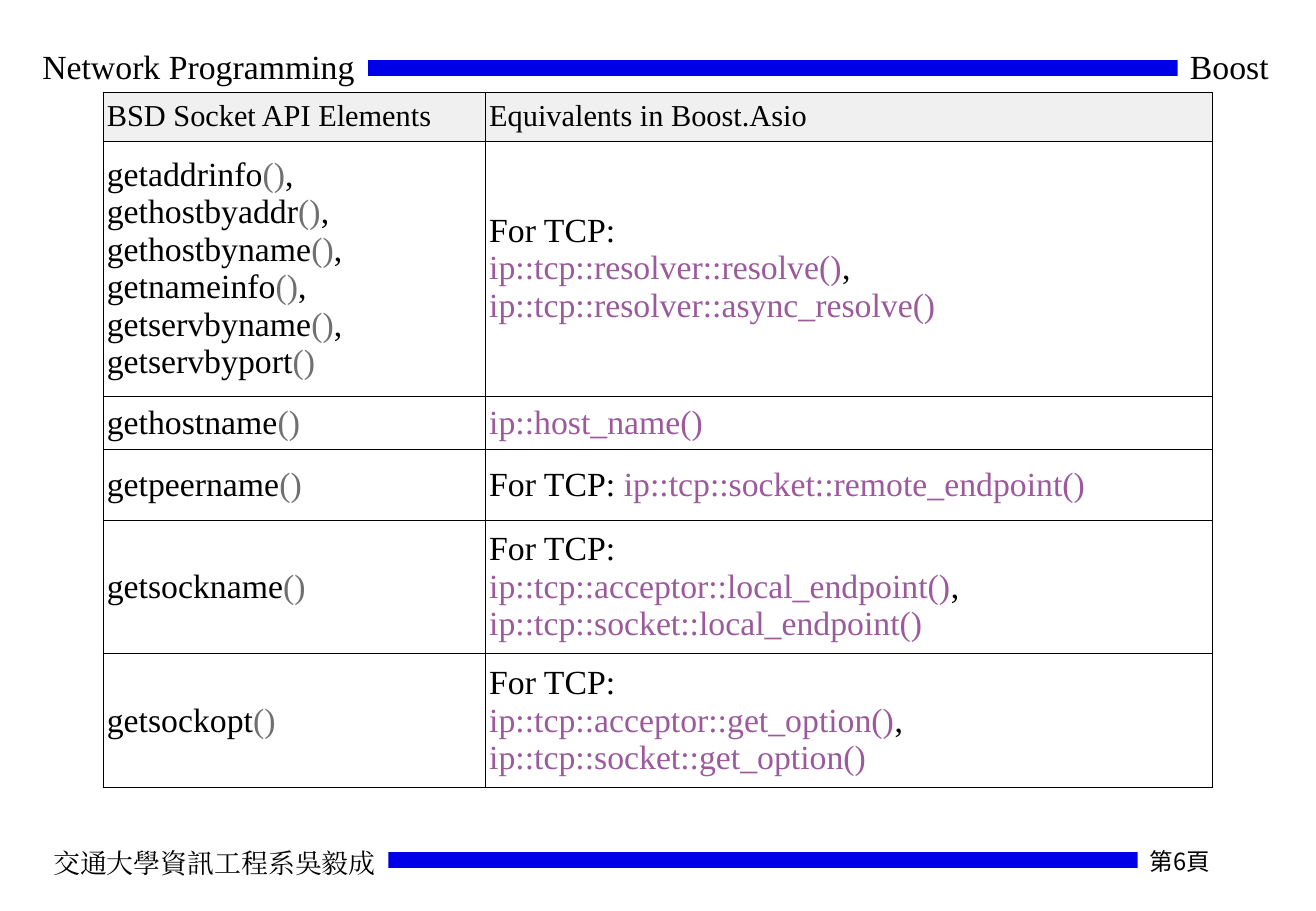
from lxml.etree import SubElement
from pptx import Presentation
from pptx.dml.color import RGBColor
from pptx.enum.shapes import MSO_CONNECTOR
from pptx.enum.text import MSO_ANCHOR, MSO_AUTO_SIZE, PP_ALIGN
from pptx.oxml import parse_xml
from pptx.oxml.ns import nsdecls, qn
from pptx.util import Inches, Pt

BLACK = RGBColor(0x00, 0x00, 0x00)
WHITE = RGBColor(0xFF, 0xFF, 0xFF)
BLUE = RGBColor(0x00, 0x00, 0xE8)
PALE = RGBColor(0xF0, 0xF0, 0xF0)
GRAY = RGBColor(0x70, 0x70, 0x70)
PURPLE = RGBColor(0x9C, 0x5A, 0x9C)
SERIF = "Times New Roman"
SANS = "Noto Sans CJK SC"


def style(run, size, color=BLACK, face=SERIF):
    run.font.size = Pt(size)
    run.font.name = face
    run.font.color.rgb = color
    SubElement(run.font._element, qn("a:ea")).set("typeface", face)


def border(cell):
    """Draw a thin black line on all four sides of the cell."""
    props = cell._tc.get_or_add_tcPr()
    for spot, side in enumerate(("lnL", "lnR", "lnT", "lnB")):
        props.insert(spot, parse_xml(
            f'<a:{side} {nsdecls("a")} w="{Pt(0.45)}"><a:solidFill>'
            f'<a:srgbClr val="{BLACK}"/></a:solidFill></a:{side}>'))


prs = Presentation()
prs.slide_width = Inches(10.84)
prs.slide_height = Inches(7.5)
slide = prs.slides.add_slide(prs.slide_layouts[6])
shapes = slide.shapes

# Header and footer bars
for left, right, y in ((0.9, 9.92, 7.08), (0.36, 10.47, 0.56)):
    bar = shapes.add_connector(MSO_CONNECTOR.STRAIGHT, Inches(left), Inches(y),
                               Inches(right), Inches(y))
    bar.line.color.rgb = BLUE
    bar.line.width = Pt(10)
    SubElement(bar._element.spPr, qn("a:effectLst"))

# White labels over the ends of the bars
labels = (
    ("第6頁", 9.37, 6.92, 1.58, 0.38, 14, SANS, PP_ALIGN.LEFT),
    ("Network Programming", 0.25, 0.33, 2.78, 0.43, 20, SERIF, PP_ALIGN.LEFT),
    ("交通大學資訊工程系吳毅成", 0.34, 6.92, 2.86, 0.37, 16, SERIF, PP_ALIGN.LEFT),
    ("Boost", 9.7, 0.33, 0.85, 0.43, 20, SERIF, PP_ALIGN.RIGHT),
)
for text, x, y, wide, high, size, face, align in labels:
    box = shapes.add_textbox(Inches(x), Inches(y), Inches(wide), Inches(high))
    box.fill.solid()
    box.fill.fore_color.rgb = WHITE
    frame = box.text_frame
    frame.word_wrap = False
    frame.auto_size = MSO_AUTO_SIZE.SHAPE_TO_FIT_TEXT
    frame.text = text
    frame.paragraphs[0].alignment = align
    style(frame.paragraphs[0].runs[0], size, face=face)

# Cells: a list of paragraphs; \n breaks a line, |...| marks accented text
calls = ("getaddrinfo", "gethostbyaddr", "gethostbyname", "getnameinfo",
         "getservbyname", "getservbyport")
rows = (
    (0.39, ["BSD Socket API Elements"], ["Equivalents in Boost.Asio"]),
    (2.1, [",\n".join(f"{call}|()|" for call in calls)],
     ["For TCP:\n|ip::tcp::resolver::resolve()|,\n"
      "|ip::tcp::resolver::async_resolve()|"]),
    (0.44, ["gethostname|()|"], ["|ip::host_name()|"]),
    (0.58, ["getpeername|()|"],
     ["For TCP: |ip::tcp::socket::remote_endpoint()|"]),
    (1.1, ["getsockname|()|"],
     ["For TCP:", "|ip::tcp::acceptor::local_endpoint()|,\n"
      "|ip::tcp::socket::local_endpoint()|"]),
    (1.1, ["getsockopt|()|"],
     ["For TCP:", "|ip::tcp::acceptor::get_option()|,\n"
      "|ip::tcp::socket::get_option()|"]),
)
total = sum(row[0] for row in rows)
table = shapes.add_table(len(rows), 2, Inches(0.85), Inches(0.76),
                         Inches(9.14), Inches(total)).table
table.first_row = False
table.horz_banding = False
table.columns[0].width = Inches(3.15)
table.columns[1].width = Inches(5.99)

for r, (high, *cells) in enumerate(rows):
    table.rows[r].height = Inches(high)
    for c, (paras, accent) in enumerate(zip(cells, (GRAY, PURPLE))):
        cell = table.cell(r, c)
        cell.vertical_anchor = MSO_ANCHOR.MIDDLE
        cell.margin_left = cell.margin_right = Inches(0.03)
        cell.margin_top = cell.margin_bottom = Inches(0.05)
        cell.fill.solid()
        cell.fill.fore_color.rgb = WHITE if r else PALE
        border(cell)
        frame = cell.text_frame
        for n, text in enumerate(paras):
            para = frame.add_paragraph() if n else frame.paragraphs[0]
            for k, line in enumerate(text.split("\n")):
                if k:
                    para.add_line_break()
                for i, part in enumerate(line.split("|")):
                    if part:
                        run = para.add_run()
                        run.text = part
                        style(run, 20 if r else 18, accent if i % 2 else BLACK)

prs.save("out.pptx")
